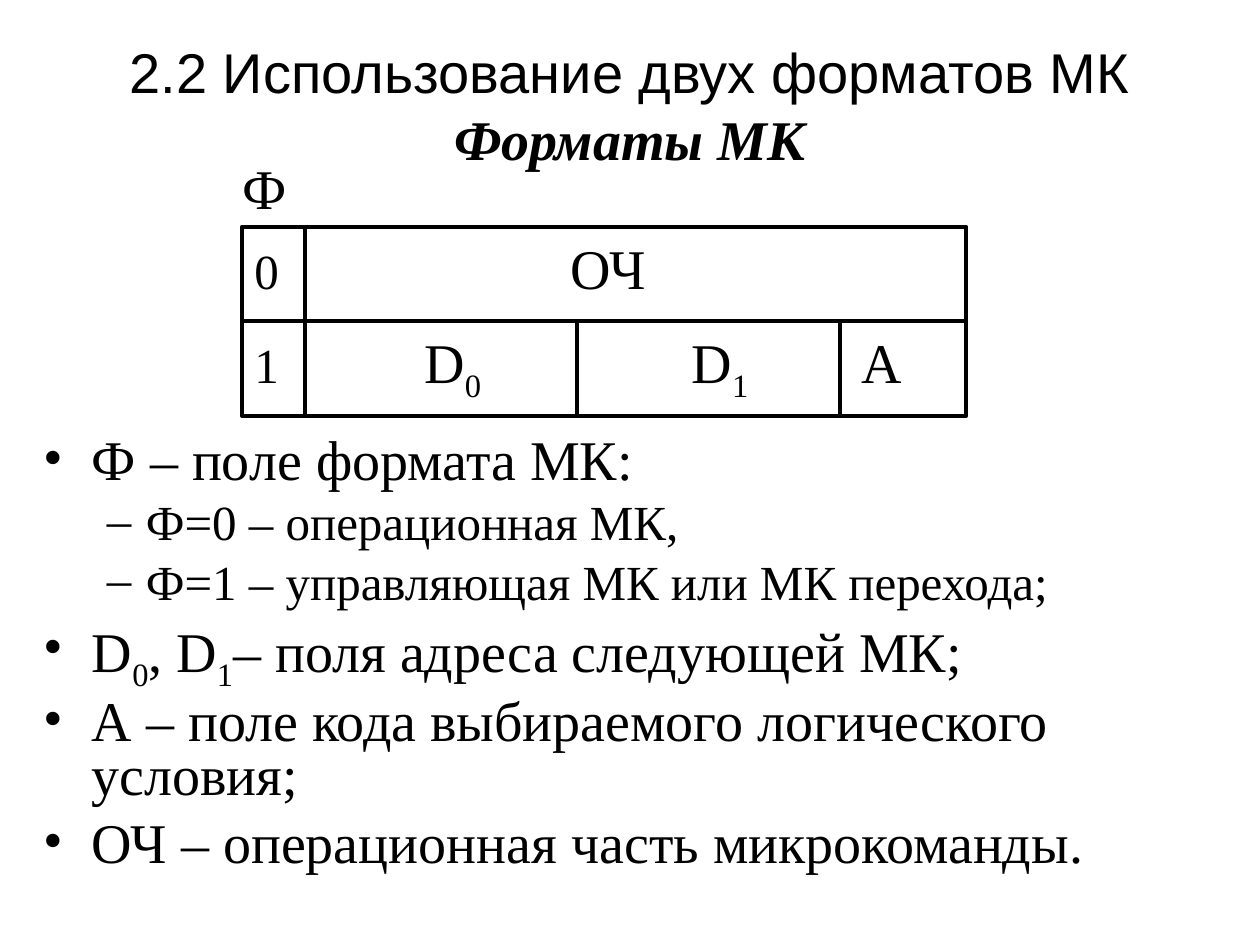
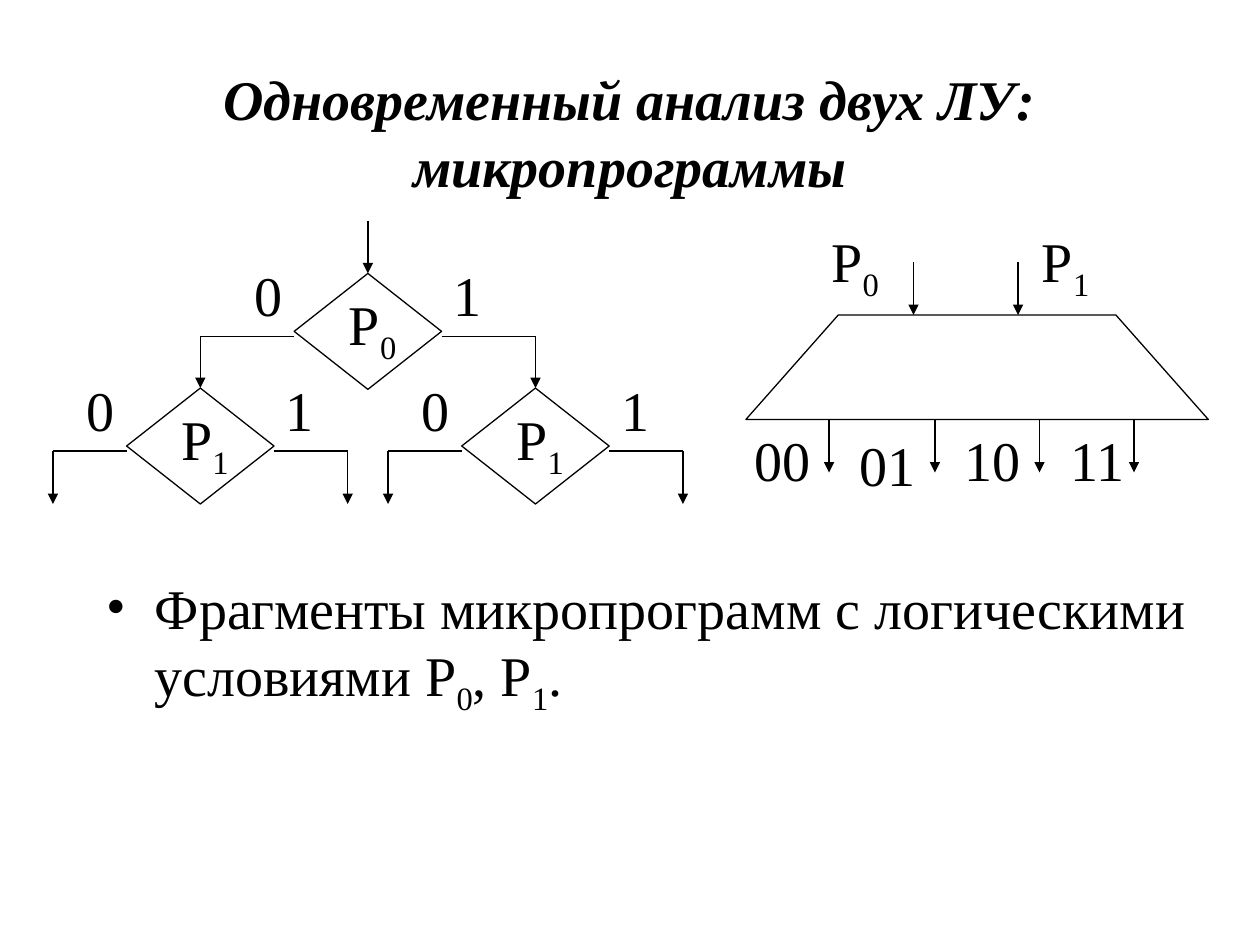
"""Build two slides on microinstruction formats and two-condition branching."""
import pptx
import pptx.util
import pptx.dml.color
import pptx.enum.shapes
import pptx.enum.text
import pptx.oxml.ns
import lxml.etree

Inches, Pt = pptx.util.Inches, pptx.util.Pt
SHAPE = pptx.enum.shapes.MSO_SHAPE
ANCHOR = pptx.enum.text.MSO_ANCHOR
ALIGN = pptx.enum.text.PP_ALIGN
qn = pptx.oxml.ns.qn

COLORS = {"ink": "000000", "paper": "FFFFFF"}
SERIF, SANS = "Times New Roman", "Arial"
BODY_SIZE, SMALL_SIZE = 32, 28
THIN, THICK = 0.75, 2.25
BULLETS = [("•", 0.38, 0.38, BODY_SIZE, 8), ("–", 0.81, 0.31, SMALL_SIZE, 7)]


def rgb(name):
    return pptx.dml.color.RGBColor.from_string(COLORS[name])


def add_run(p, text, size=BODY_SIZE, font=SERIF, strong=False, sub=False):
    r = p.add_run()
    r.text = text
    r.font.size = Pt(size)
    r.font.name = font
    r.font.color.rgb = rgb("ink")
    if strong:
        r.font.bold = r.font.italic = True
    if sub:
        r._r.get_or_add_rPr().set("baseline", "-25000")


def add_text(p, text, size=BODY_SIZE):
    """Add runs; the character after each underscore is a subscript."""
    first, *rest = text.split("_")
    add_run(p, first, size)
    for part in rest:
        add_run(p, part[0], size, sub=True)
        if part[1:]:
            add_run(p, part[1:], size)


def add_slide(prs, top, height, title_runs):
    s = prs.slides.add_slide(prs.slide_layouts[5])
    s.background.fill.solid()
    s.background.fill.fore_color.rgb = rgb("paper")
    sp = s.shapes.title
    sp.left, sp.top = Inches(0.75), Inches(top)
    sp.width, sp.height = Inches(8.5), Inches(height)
    tf = sp.text_frame
    tf.word_wrap = True
    tf.auto_size = pptx.enum.text.MSO_AUTO_SIZE.NONE
    tf.vertical_anchor = ANCHOR.MIDDLE
    p = tf.paragraphs[0]
    p.alignment = ALIGN.CENTER
    for text, font, strong in title_runs:
        add_run(p, text, font=font, strong=strong)
    return s


def add_box(s, x, y, w, h):
    tf = s.shapes.add_textbox(Inches(x), Inches(y), Inches(w), Inches(h)).text_frame
    tf.word_wrap = True
    return tf


def add_label(s, x, y, text, w=0.92, align=ALIGN.LEFT):
    p = add_box(s, x, y, w, 0.64).paragraphs[0]
    p.alignment = align
    add_text(p, text)


def add_bullets(s, x, y, w, h, items, spacing=1.0):
    tf = add_box(s, x, y, w, h)
    for i, (level, text) in enumerate(items):
        p = tf.add_paragraph() if i else tf.paragraphs[0]
        char, margin, hang, size, before = BULLETS[level]
        pPr = p._p.get_or_add_pPr()
        pPr.set("marL", str(Inches(margin)))
        pPr.set("indent", str(-Inches(hang)))
        lxml.etree.SubElement(pPr, qn("a:buFont")).set("typeface", SERIF)
        lxml.etree.SubElement(pPr, qn("a:buChar")).set("char", char)
        p.level = level
        p.line_spacing = spacing
        if i:
            p.space_before = Pt(before)
        add_text(p, text, size)


def add_outline(s, kind, x, y, w, h, weight=THIN):
    sp = s.shapes.add_shape(kind, Inches(x), Inches(y), Inches(w), Inches(h))
    sp.shadow.inherit = False
    sp.fill.background()
    sp.line.color.rgb = rgb("ink")
    sp.line.width = Pt(weight)
    return sp


def add_line(s, x1, y1, x2, y2, weight=THIN, arrow=False, target=None):
    """Draw a line, ending at the top of target if one is given."""
    c = s.shapes.add_connector(pptx.enum.shapes.MSO_CONNECTOR.STRAIGHT,
                               Inches(x1), Inches(y1), Inches(x2), Inches(y2))
    c.line.color.rgb = rgb("ink")
    c.line.width = Pt(weight)
    if arrow:
        ln = c.line._get_or_add_ln()
        lxml.etree.SubElement(ln, qn("a:tailEnd")).set("type", "triangle")
    lxml.etree.SubElement(c._element.spPr, qn("a:effectLst"))
    if target is not None:
        c.end_connect(target, 0)


def add_format_row(s, y, code, fields, separators):
    """Draw one format: its code, then fields given as (tab stop, text)."""
    x, h = 1.92, 0.75
    sp = add_outline(s, SHAPE.RECTANGLE, x, y, 5.75, h, THICK)
    tf = sp.text_frame
    tf.vertical_anchor = ANCHOR.TOP
    p = tf.paragraphs[0]
    p.alignment = ALIGN.LEFT
    tabs = lxml.etree.SubElement(p._p.get_or_add_pPr(), qn("a:tabLst"))
    add_text(p, code, SMALL_SIZE)
    for stop, text in fields:
        tab = lxml.etree.SubElement(tabs, qn("a:tab"))
        tab.set("pos", str(Inches(stop)))
        tab.set("algn", "l")
        add_text(p, "\t" + text)
    for sep in separators:
        add_line(s, sep, y, sep, y + h, THICK)


def add_decision(s, cx, y, name, spread, targets=(None, None)):
    """Draw a condition with its 0 and 1 branches; return the diamond."""
    w, h = 1.17, 0.92
    sp = add_outline(s, SHAPE.FLOWCHART_DECISION, cx - w / 2, y, w, h)
    add_label(s, cx - 0.25, y + 0.08, name)
    branch_y = y + 0.5
    for side, digit, target in zip((-1, 1), "01", targets):
        tip = cx + side * spread
        add_line(s, cx + side * w / 2, branch_y, tip, branch_y)
        add_line(s, tip, branch_y, tip, y + h, arrow=True, target=target)
        add_label(s, cx + side * 0.79 - 0.46, y - 0.15, digit, align=ALIGN.CENTER)
    return sp


def add_selector(s):
    """Draw the selector with two conditions in and four ways out."""
    top, bottom, arrow = 2.5, 3.33, 0.42
    sp = add_outline(s, SHAPE.FLOWCHART_MANUAL_OPERATION, 5.92, top, 3.67, bottom - top)
    sp._element.spPr.find(qn("a:xfrm")).set("flipV", "1")
    for x, label_x, name in [(7.25, 6.5, "Р_0"), (8.08, 8.17, "Р_1")]:
        add_line(s, x, top - arrow, x, top, arrow=True)
        add_label(s, label_x, 1.75, name)
    outputs = [("00", 6.58, 3.33), ("01", 7.42, 3.37), ("10", 8.25, 3.33), ("11", 9, 3.33)]
    for i, (code, x, label_y) in enumerate(outputs):
        add_line(s, x, bottom, x, bottom + arrow, arrow=True)
        add_label(s, 5.75 + i * 2.5 / 3, label_y, code, align=ALIGN.CENTER)


def build_formats(prs):
    s = add_slide(prs, 0.08, 1.5, [("2.2 Использование двух форматов МК ", SANS, False),
                                   ("Форматы МК", SERIF, True)])
    add_bullets(s, 0.25, 3.42, 9.75, 3.67, [
        (0, "Ф – поле формата МК:"),
        (1, "Ф=0 – операционная МК,"),
        (1, "Ф=1 – управляющая МК или МК перехода;"),
        (0, "D_0, D_1– поля адреса следующей МК;"),
        (0, "А – поле кода выбираемого логического условия;"),
        (0, "ОЧ – операционная часть микрокоманды."),
    ], spacing=0.8)
    add_format_row(s, 1.8, "0", [(2.51, "ОЧ")], [2.42])
    add_format_row(s, 2.55, "1", [(1.35, "D_0"), (3.47, "D_1"), (4.82, "A")],
                   [2.42, 4.58, 6.67])
    add_label(s, 1.83, 1.17, "Ф", w=0.67)


def build_branching(prs):
    s = add_slide(prs, 0.42, 1.25,
                  [("Одновременный анализ двух ЛУ: микропрограммы", SERIF, True)])
    add_bullets(s, 0.75, 4.5, 8.92, 2.17,
                [(0, "Фрагменты микропрограмм с логическими условиями Р_0, Р_1.")])
    cx, spread = 2.92, 1.33
    children = [add_decision(s, cx + side * spread, 3.08, "Р_1", 1.17) for side in (-1, 1)]
    root = add_decision(s, cx, 2.17, "Р_0", spread, children)
    add_line(s, cx, 1.75, cx, 2.17, arrow=True, target=root)
    add_selector(s)


def main():
    prs = pptx.Presentation()
    prs.slide_width, prs.slide_height = Inches(10), Inches(7.5)
    build_formats(prs)
    build_branching(prs)
    prs.save("out.pptx")


if __name__ == "__main__":
    main()
